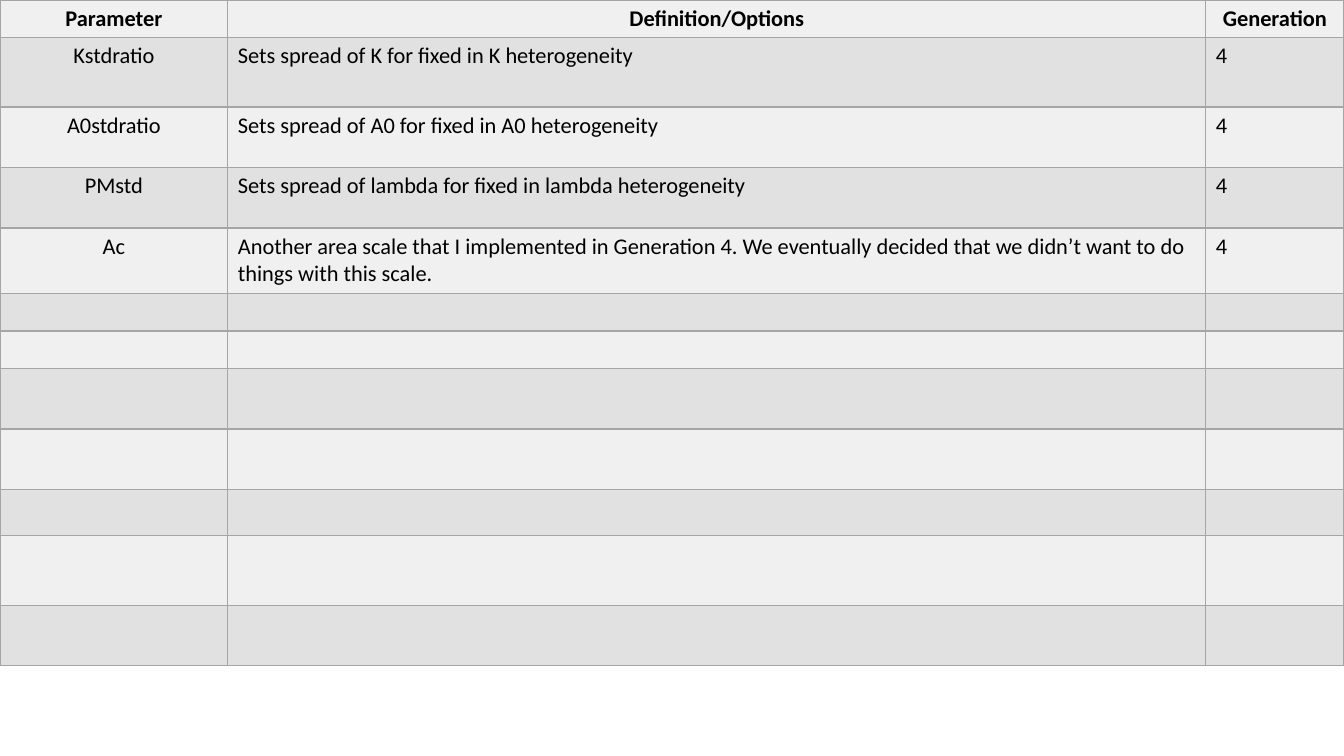
from dataclasses import dataclass

from lxml.etree import SubElement as Sub
from pptx import Presentation
from pptx.dml.color import RGBColor as RGB
from pptx.enum.text import PP_ALIGN as Align
from pptx.oxml.ns import qn
from pptx.util import Inches, Pt

WIDE, HIGH = 13.33, 7.5
FONT, SIZE = "Calibri", 16
LIGHT, DARK, EDGE, INK = "F0F0F0", "E1E1E1", "A5A5A5", "000000"
COLS = (2.26, 9.7, 1.37)
HEADS = ("Parameter", "Definition/Options", "Generation")


@dataclass
class Row:
    high: float
    texts: tuple[str, ...] = ("", "", "")


ROWS = [
    Row(0.37, HEADS),
    Row(0.69, ("Kstdratio", "Sets spread of K for fixed in K heterogeneity", "4")),
    Row(0.6, ("A0stdratio", "Sets spread of A0 for fixed in A0 heterogeneity", "4")),
    Row(0.6, ("PMstd", "Sets spread of lambda for fixed in lambda heterogeneity", "4")),
    Row(0.65, ("Ac", "Another area scale that I implemented in Generation 4. "
               "We eventually decided that we didn’t want to do things "
               "with this scale.", "4")),
    *(Row(high) for high in (0.37, 0.37, 0.6, 0.6, 0.46, 0.69, 0.6)),
]


def color(code: str) -> RGB:
    return RGB.from_string(code)


def edge(cell) -> None:
    """Draw a thin line on all four sides."""
    props = cell._tc.get_or_add_tcPr()
    for side in ("lnL", "lnR", "lnT", "lnB"):
        line = Sub(props, qn(f"a:{side}"), w=str(Pt(1)))
        Sub(Sub(line, qn("a:solidFill")), qn("a:srgbClr"), val=EDGE)


def write(cell, text: str, bold: bool, center: bool) -> None:
    cell.text_frame.text = text
    para = cell.text_frame.paragraphs[0]
    para.alignment = Align.CENTER if center else Align.LEFT
    for run in para.runs:
        font = run.font
        font.name, font.size, font.bold = FONT, Pt(SIZE), bold
        font.color.rgb = color(INK)
    if not text:
        # Empty cells keep the text size, so short rows do not grow
        Sub(para._p, qn("a:endParaRPr"), sz=str(SIZE * 100))


def fill(table) -> None:
    for col, wide in zip(table.columns, COLS):
        col.width = Inches(wide)
    for r, row in enumerate(ROWS):
        table.rows[r].height = Inches(row.high)
        for c, text in enumerate(row.texts):
            cell = table.cell(r, c)
            edge(cell)
            cell.fill.solid()
            cell.fill.fore_color.rgb = color(DARK if r % 2 else LIGHT)
            write(cell, text, bold=r == 0, center=r == 0 or c == 0)


def main() -> None:
    deck = Presentation()
    deck.slide_width, deck.slide_height = Inches(WIDE), Inches(HIGH)
    slide = deck.slides.add_slide(deck.slide_layouts[6])

    # Parameter table across the full width
    tall = sum(row.high for row in ROWS)
    frame = slide.shapes.add_table(
        len(ROWS), len(COLS), 0, 0, Inches(WIDE), Inches(tall))
    fill(frame.table)
    deck.save("out.pptx")


if __name__ == "__main__":
    main()
